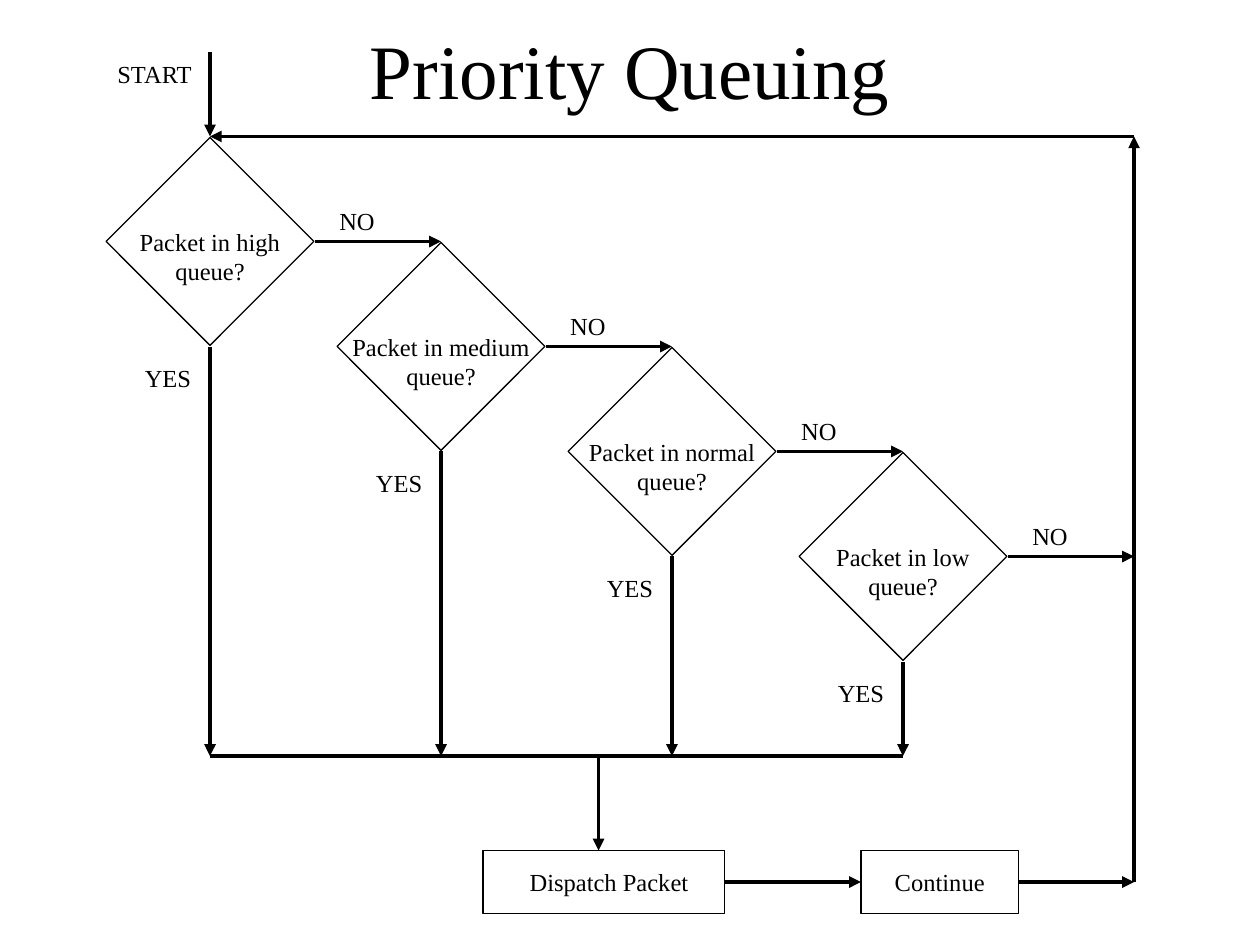
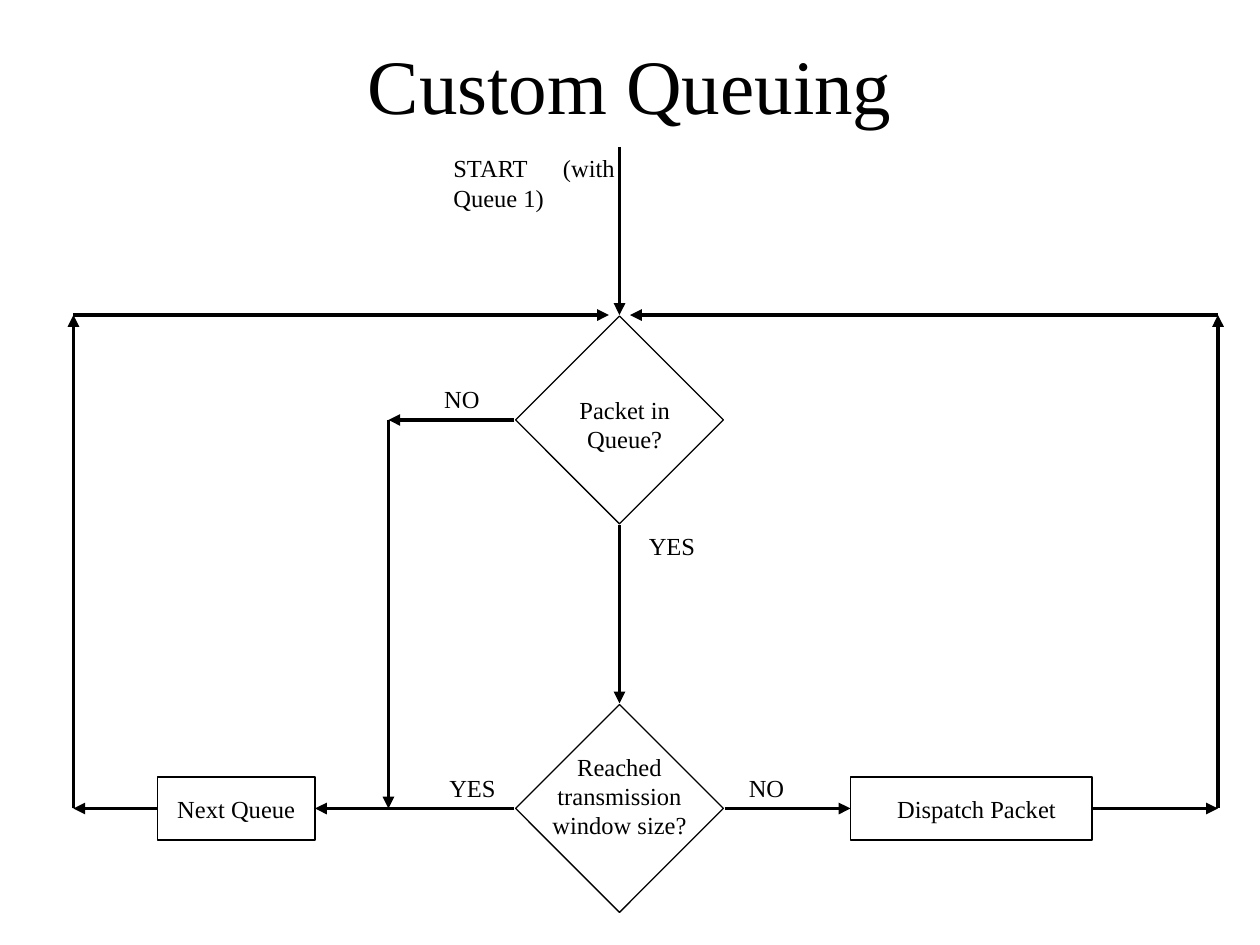
"""Two flowcharts, priority and custom queuing, laid out on a grid of twelfths of an inch."""
from lxml.etree import SubElement
from pptx import Presentation
from pptx.dml.color import RGBColor
from pptx.enum.shapes import MSO_CONNECTOR as CONN, MSO_SHAPE as SHAPE
from pptx.enum.text import MSO_ANCHOR as ANCHOR, MSO_AUTO_SIZE as FIT, PP_ALIGN as ALIGN
from pptx.oxml.ns import qn
from pptx.util import Inches, Pt

BLACK = RGBColor(0x00, 0x00, 0x00)
WHITE = RGBColor(0xFF, 0xFF, 0xFF)
FONT = "Times New Roman"
COLS, ROWS = 120, 90
SIDE, REACH = 14, 10
LABEL_H, BOX_H = 4, 6
LABEL_W = {"NO": 6, "YES": 8}

QUEUES = ["high", "medium", "normal", "low"]
FIRST, STEP = (20, 23), (22, 10)
TOP, MERGE, BOTTOM, RETURN = 13, 72, 84, 108

stages = [(FIRST[0] + i * STEP[0], FIRST[1] + i * STEP[1]) for i in range(len(QUEUES))]
last_x = stages[-1][0]

PRIORITY = dict(
    title="Priority Queuing", title_h=7,
    start=("START", 10, 5, 11),
    diamonds=[(x, y, f"Packet in {q} queue?", (x - 11, y - 2, 22))
              for q, (x, y) in zip(QUEUES, stages)],
    boxes=[("Dispatch Packet", 46, 81, 23, 1), ("Continue", 82, 81, 15, 0)],
    labels=[("NO", x + 11, y - 4) for x, y in stages]
    + [("YES", x - 8, y + 11) for x, y in stages],
    arrows=[(x + REACH, y, x + STEP[0], y) for x, y in stages]
    + [(x, y + REACH, x, MERGE) for x, y in stages]
    + [(20, 5, 20, TOP), (57, MERGE, 57, 81), (69, BOTTOM, 82, BOTTOM),
       (97, BOTTOM, RETURN, BOTTOM), (RETURN, BOTTOM, RETURN, TOP), (RETURN, TOP, 20, TOP)],
    lines=[(FIRST[0], MERGE, last_x, MERGE)],
)

MID, LOOP_TOP, CHECK, WINDOW = 59, 30, 40, 77
LEFT, BYPASS, RIGHT = 7, 37, 116

CUSTOM = dict(
    title="Custom Queuing", title_h=10,
    start=("START\t(with Queue 1)", 42, 14, 18),
    diamonds=[(MID, CHECK, "Packet in Queue?", (52, 37, 15)),
              (MID, WINDOW, "Reached transmission window size?", (48, 71, 22))],
    boxes=[("Dispatch Packet", 81, 74, 23, 1), ("Next Queue", 15, 74, 15, 0)],
    labels=[("NO", 41, 36), ("YES", 60, 50), ("YES", 41, 73), ("NO", 70, 73)],
    arrows=[(MID, 14, MID, LOOP_TOP), (MID, CHECK + REACH, MID, WINDOW - REACH),
            (MID - REACH, CHECK, BYPASS, CHECK), (BYPASS, CHECK, BYPASS, WINDOW),
            (MID - REACH, WINDOW, 30, WINDOW), (15, WINDOW, LEFT, WINDOW),
            (LEFT, WINDOW, LEFT, LOOP_TOP), (LEFT, LOOP_TOP, MID - 1, LOOP_TOP),
            (MID + REACH, WINDOW, 81, WINDOW), (104, WINDOW, RIGHT, WINDOW),
            (RIGHT, WINDOW, RIGHT, LOOP_TOP), (RIGHT, LOOP_TOP, MID + 1, LOOP_TOP)],
    lines=[],
)


def grid(*units):
    """Turn grid units into lengths."""
    return [Inches(u / 12) for u in units]


def write(tf, text, size=14, align=ALIGN.CENTER, anchor=ANCHOR.TOP, tab=None):
    """Put one formatted paragraph into a text frame."""
    tf.word_wrap, tf.auto_size, tf.vertical_anchor = True, FIT.NONE, anchor
    p = tf.paragraphs[0]
    p.alignment = align
    if tab:
        tabs = SubElement(p._p.get_or_add_pPr(), qn("a:tabLst"))
        SubElement(tabs, qn("a:tab"), pos=str(Inches(tab)), algn="l")
    r = p.add_run()
    r.text = text
    r.font.name, r.font.size = FONT, Pt(size)
    r.font.color.rgb = BLACK


def label(s, text, x, y, w, h=LABEL_H, **fmt):
    """Add a text box."""
    write(s.shapes.add_textbox(*grid(x, y, w, h)).text_frame, text, **fmt)


def block(s, x, y, w, h):
    """Add a white rectangle with a thin outline."""
    sp = s.shapes.add_shape(SHAPE.RECTANGLE, *grid(x, y, w, h))
    sp.shadow.inherit = False
    sp.fill.solid()
    sp.fill.fore_color.rgb = WHITE
    sp.line.color.rgb, sp.line.width = BLACK, Pt(0.75)
    return sp


def connect(s, ends, arrow=True):
    """Add a thick line, with an arrowhead at its end unless told otherwise."""
    c = s.shapes.add_connector(CONN.STRAIGHT, *grid(*ends))
    c.line.color.rgb, c.line.width = BLACK, Pt(2.25)
    if arrow:
        SubElement(c.line._get_or_add_ln(), qn("a:tailEnd"), type="triangle")
    SubElement(c._element.spPr, qn("a:effectLst"))


def flowchart(prs, chart):
    """Add one slide with its title and flowchart."""
    s = prs.slides.add_slide(prs.slide_layouts[5])
    title = s.shapes.title
    title.left, title.top, title.width, title.height = grid(9, 3, COLS - 18, chart["title_h"])
    write(title.text_frame, chart["title"], size=44, anchor=ANCHOR.MIDDLE)
    for x, y, text, place in chart["diamonds"]:
        block(s, x - SIDE / 2, y - SIDE / 2, SIDE, SIDE).rotation = 45
        label(s, text, *place, h=7)
    for text, x, y, w, indent in chart["boxes"]:
        tf = block(s, x, y, w, BOX_H).text_frame
        tf.margin_left = Inches(0.1 + indent / 12)
        write(tf, text, anchor=ANCHOR.MIDDLE)
    for ends in chart["arrows"]:
        connect(s, ends)
    for ends in chart["lines"]:
        connect(s, ends, arrow=False)
    for text, x, y in chart["labels"]:
        label(s, text, x, y, LABEL_W[text])
    label(s, *chart["start"], align=ALIGN.LEFT, tab=0.87 if "\t" in chart["start"][0] else None)


def main():
    prs = Presentation()
    prs.slide_width, prs.slide_height = grid(COLS, ROWS)
    for chart in (PRIORITY, CUSTOM):
        flowchart(prs, chart)
    prs.save("out.pptx")


if __name__ == "__main__":
    main()
